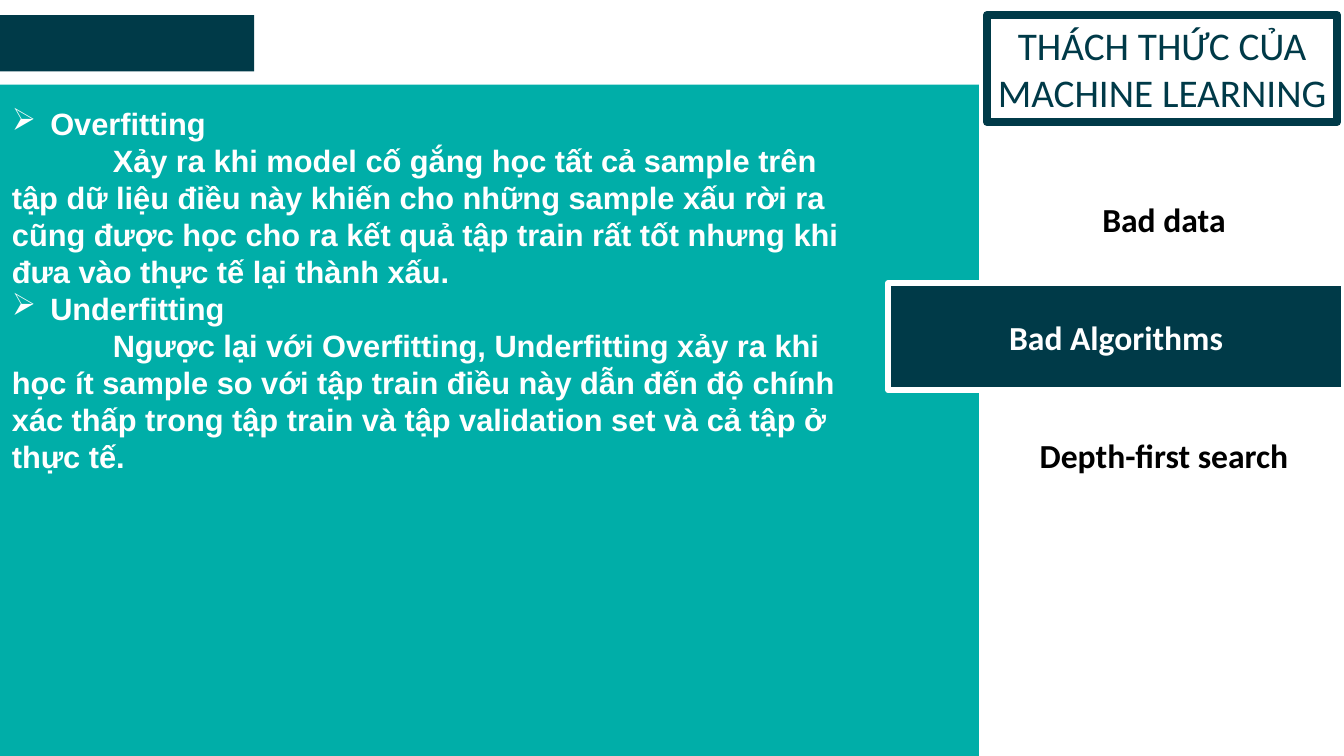
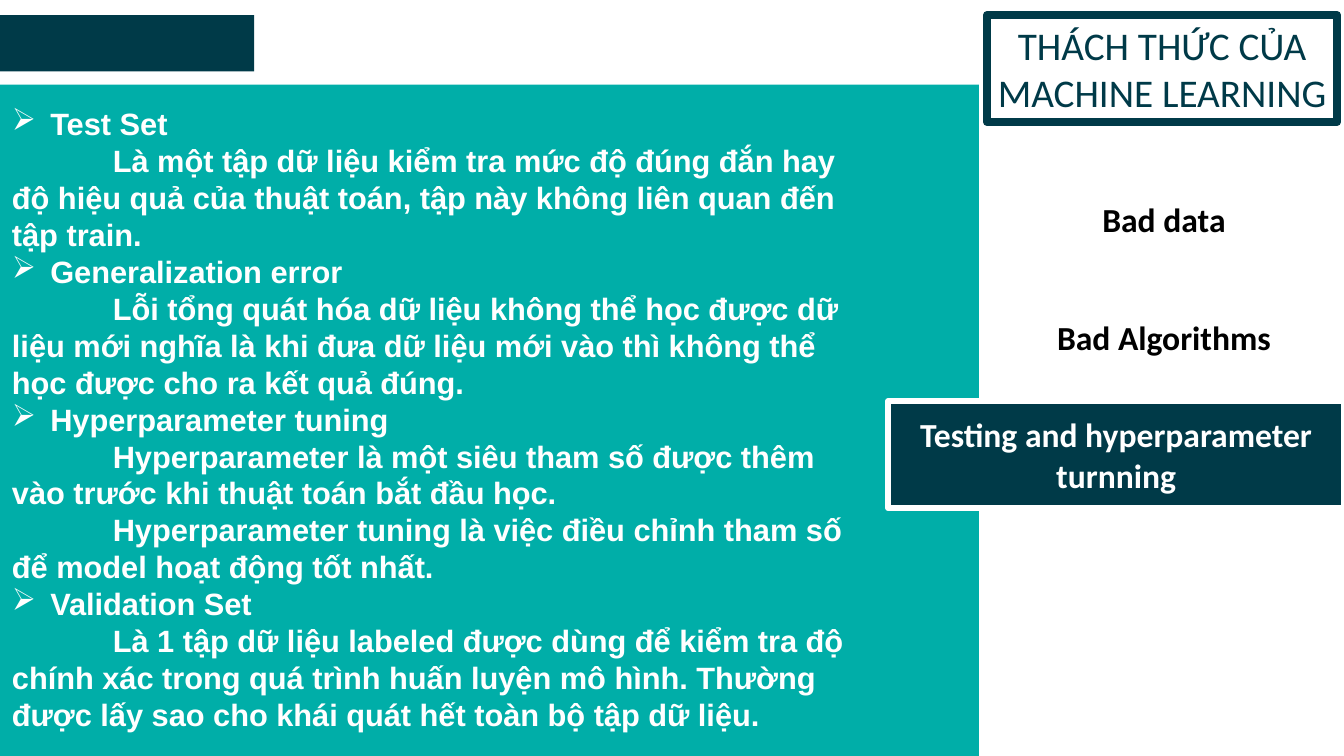
import pptx
import pptx.util
import pptx.dml.color
import pptx.enum.shapes
import pptx.enum.text
import pptx.oxml.ns
import lxml.etree

Inches = pptx.util.Inches
Pt = pptx.util.Pt

NAVY, TEAL, WHITE, BLACK = "003A48", "00AEA8", "FFFFFF", "000000"
TITLE = "THÁCH THỨC CỦA MACHINE LEARNING"
MENU_TOP, MENU_STEP, MENU_HEIGHT = 1.64, 1.17, 1.06

# Each slide: menu labels, index of the active one, and (heading, paragraphs) topics
SLIDES = [
    (["Bad data", "Bad Algorithms", "Depth-first search"], 1, [
        ("Overfitting", [
            "Xảy ra khi model cố gắng học tất cả sample trên tập dữ liệu điều này khiến cho "
            "những sample xấu rời ra cũng được học cho ra kết quả tập train rất tốt nhưng khi "
            "đưa vào thực tế lại thành xấu."]),
        ("Underfitting", [
            "Ngược lại với Overfitting, Underfitting xảy ra khi học ít sample so với tập train "
            "điều này dẫn đến độ chính xác thấp trong tập train và tập validation set và cả "
            "tập ở thực tế."]),
    ]),
    (["Bad data", "Bad Algorithms", "Testing and hyperparameter turnning"], 2, [
        ("Test Set", [
            "Là một tập dữ liệu kiểm tra mức độ đúng đắn hay độ hiệu quả của thuật toán, tập "
            "này không liên quan đến tập train."]),
        ("Generalization error", [
            "Lỗi tổng quát hóa dữ liệu không thể học được dữ liệu mới nghĩa là khi đưa dữ liệu "
            "mới vào thì không thể học được cho ra kết quả đúng."]),
        ("Hyperparameter tuning", [
            "Hyperparameter là một siêu tham số được thêm vào trước khi thuật toán bắt đầu học.",
            "Hyperparameter tuning là việc điều chỉnh tham số để model hoạt động tốt nhất."]),
        ("Validation Set", [
            "Là 1 tập dữ liệu labeled được dùng để kiểm tra độ chính xác trong quá trình huấn "
            "luyện mô hình. Thường được lấy sao cho khái quát hết toàn bộ tập dữ liệu."]),
    ]),
]


def color(value):
    return pptx.dml.color.RGBColor.from_string(value)


def style_box(shape, fill=None, line=None, width=0, text="", **font_format):
    """Set fill, outline and centred text of a box."""
    if fill:
        shape.fill.solid()
        shape.fill.fore_color.rgb = color(fill)
    else:
        shape.fill.background()
    if line:
        shape.line.color.rgb = color(line)
        shape.line.width = Pt(width)
    else:
        shape.line.fill.background()
    if text:
        frame = shape.text_frame
        frame.text = text
        frame_format = {
            "word_wrap": True,
            "auto_size": pptx.enum.text.MSO_AUTO_SIZE.NONE,
            "vertical_anchor": pptx.enum.text.MSO_ANCHOR.MIDDLE,
            "margin_left": Inches(0.1), "margin_right": Inches(0.1),
            "margin_top": Inches(0.05), "margin_bottom": Inches(0.05),
        }
        for name, value in frame_format.items():
            setattr(frame, name, value)
        paragraph = frame.paragraphs[0]
        paragraph.alignment = pptx.enum.text.PP_ALIGN.CENTER
        font = paragraph.runs[0].font
        font.color.rgb = color(font_format.pop("text_color"))
        for name, value in font_format.items():
            setattr(font, name, value)


presentation = pptx.Presentation()
presentation.slide_width = Inches(13.33)
presentation.slide_height = Inches(7.5)
RECTANGLE = pptx.enum.shapes.MSO_SHAPE.RECTANGLE

for labels, active, topics in SLIDES:
    slide = presentation.slides.add_slide(presentation.slide_layouts[5])

    # Framed title
    title = slide.shapes.title
    title.left, title.top, title.width, title.height = map(Inches, (9.79, 0.15, 3.47, 1.06))
    style_box(title, WHITE, NAVY, 6, TITLE,
              text_color=NAVY, size=Pt(28), name="Calibri", bold=False)

    # Teal panel and navy tab
    for fill, bounds in [(TEAL, (0, 0.84, 9.71, 6.66)), (NAVY, (0, 0.15, 2.52, 0.56))]:
        shape = slide.shapes.add_shape(RECTANGLE, *map(Inches, bounds))
        shape.shadow.inherit = False
        style_box(shape, fill)

    # Menu: the active entry is wider and filled
    for index, label in enumerate(labels):
        is_active = index == active
        left = 8.81 if is_active else 9.76
        shape = slide.shapes.add_shape(
            RECTANGLE, Inches(left), Inches(MENU_TOP + index * MENU_STEP),
            Inches(13.33 - left), Inches(MENU_HEIGHT))
        shape.shadow.inherit = False
        style_box(shape, NAVY if is_active else None, WHITE, 4.5, label,
                  text_color=WHITE if is_active else BLACK,
                  size=Pt(24), name="Calibri", bold=True)

    # Topics: bulleted headings with indented paragraphs
    body = slide.shapes.add_textbox(Inches(0.02), Inches(0.99), Inches(8.72), Inches(6.4))
    frame = body.text_frame
    frame.word_wrap = True
    lines = []
    for heading, texts in topics:
        lines.append((heading, True))
        lines.extend((text, False) for text in texts)
    for index, (text, is_heading) in enumerate(lines):
        paragraph = frame.add_paragraph() if index else frame.paragraphs[0]
        paragraph.line_spacing = Pt(26.4)
        run = paragraph.add_run()
        run.text = text
        run.font.color.rgb = color(WHITE)
        for name, value in {"size": Pt(22), "name": "Arial", "bold": True}.items():
            setattr(run.font, name, value)
        properties = paragraph._p.get_or_add_pPr()
        margin, indent = (0.38, -0.38) if is_heading else (0, 1)
        properties.set("marL", str(Inches(margin)))
        properties.set("indent", str(Inches(indent)))
        if is_heading:
            bullet = lxml.etree.SubElement(properties, pptx.oxml.ns.qn("a:buChar"))
            bullet.set("char", "➢")

presentation.save("out.pptx")
